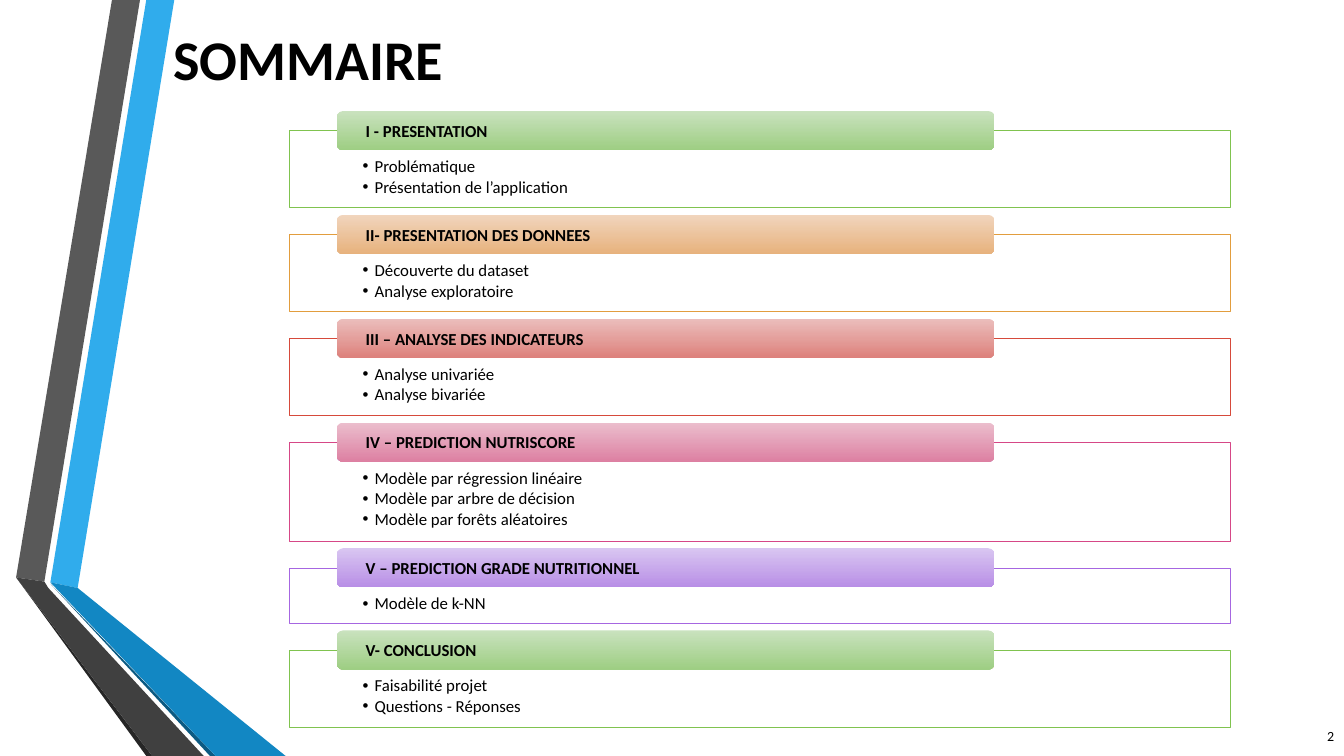
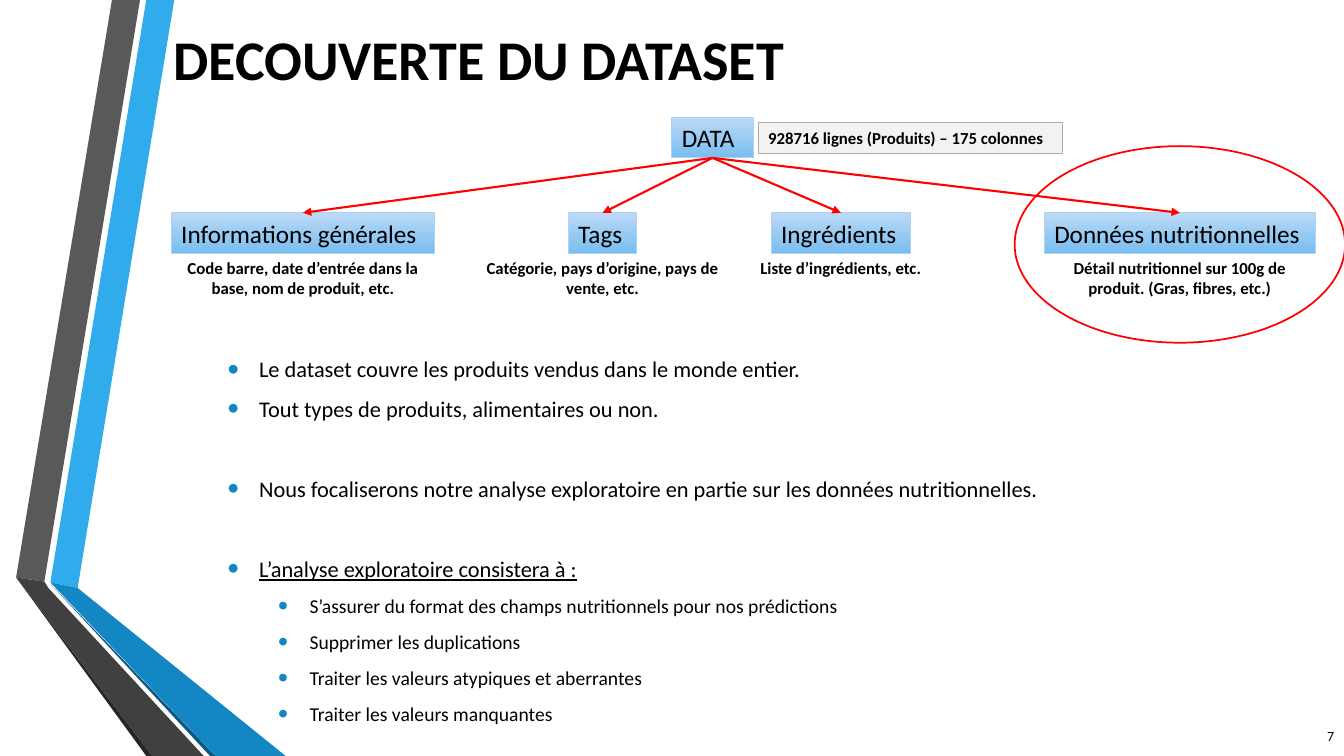
from lxml import etree
from pptx import Presentation
from pptx.dml.color import RGBColor
from pptx.enum import shapes, text
from pptx.oxml.ns import qn
from pptx.util import Pt

FONT = "Calibri"
COLORS = {
    "black": "000000", "white": "FFFFFF", "red": "FF0000",
    "sky": "30ACEC", "blue": "1287C3", "navy": "0C5A82",
    "gray": "595959", "charcoal": "404040", "ink": "262626",
    "label": "F2F2F2", "label_line": "ABABAB",
    "box_top": "BCDAF6", "box_bottom": "78BDEF", "box_line": "AED2F4",
    "green": "80C34F", "green_top": "C9E2BE", "green_bottom": "9ECE83",
    "orange": "E29D3E", "orange_top": "F1D5BD", "orange_bottom": "E7B27D",
    "brick": "D64A3B", "brick_top": "EBBEBC", "brick_bottom": "DD817C",
    "pink": "D64787", "pink_top": "EBBECD", "pink_bottom": "DD80A2",
    "violet": "A666E1", "violet_top": "D9C6F1", "violet_bottom": "B88EE6",
}
RGB = {name: RGBColor.from_string(value) for name, value in COLORS.items()}


def write(paragraph, words, size, bold=False, bullet=None):
    """Add a black run; bullet is (left margin, hanging, colour, size in %)."""
    run = paragraph.add_run()
    run.text = words
    run.font.name = FONT
    run.font.size = Pt(size)
    run.font.bold = bold
    run.font.color.rgb = RGB["black"]
    if bullet:
        margin, hanging, color, percent = bullet
        properties = paragraph._p.get_or_add_pPr()
        properties.set("marL", str(Pt(margin)))
        properties.set("indent", str(-Pt(hanging)))
        bullet_color = etree.SubElement(properties, qn("a:buClr"))
        etree.SubElement(bullet_color, qn("a:srgbClr"), val=COLORS[color])
        etree.SubElement(properties, qn("a:buSzPct"), val=str(percent * 1000))
        etree.SubElement(properties, qn("a:buFont"), typeface="Arial")
        etree.SubElement(properties, qn("a:buChar"), char="•")
    return run


def add_box(slide, kind, left, top, width, height, fill=None, line=None, weight=0.75):
    """Add a left-aligned shape; a pair of fill colours makes a vertical gradient."""
    shape = slide.shapes.add_shape(kind, Pt(left), Pt(top), Pt(width), Pt(height))
    shape.shadow.inherit = False
    if isinstance(fill, tuple):
        shape.fill.gradient()
        shape.fill.gradient_angle = 270
        for stop, color in zip(shape.fill.gradient_stops, fill):
            stop.color.rgb = RGB[color]
    elif fill:
        shape.fill.solid()
        shape.fill.fore_color.rgb = RGB[fill]
    else:
        shape.fill.background()
    if line:
        shape.line.color.rgb = RGB[line]
        shape.line.width = Pt(weight)
    else:
        shape.line.fill.background()
    shape.text_frame.word_wrap = True
    shape.text_frame.paragraphs[0].alignment = text.PP_ALIGN.LEFT
    return shape


presentation = Presentation()
presentation.slide_width = Pt(960)
presentation.slide_height = Pt(540)
title_only = presentation.slide_layouts[5]

# Titles and page numbers
slides = []
for heading, number in (("SOMMAIRE", "2"), ("DECOUVERTE DU DATASET", "7")):
    slide = presentation.slides.add_slide(title_only)
    slides.append(slide)
    title = slide.shapes.title
    title.left, title.top, title.width, title.height = Pt(116.6), Pt(0), Pt(789), Pt(83.5)
    title.text_frame.vertical_anchor = text.MSO_ANCHOR.MIDDLE
    paragraph = title.text_frame.paragraphs[0]
    paragraph.alignment = text.PP_ALIGN.LEFT
    write(paragraph, heading, 40, bold=True)
    page = slide.shapes.add_textbox(Pt(916.6), Pt(511), Pt(43.4), Pt(29))
    page.text_frame.word_wrap = True
    page.text_frame.vertical_anchor = text.MSO_ANCHOR.MIDDLE
    paragraph = page.text_frame.paragraphs[0]
    paragraph.alignment = text.PP_ALIGN.RIGHT
    write(paragraph, number, 10)
summary, dataset = slides

# Folded ribbons, drawn once and moved to the back of the shared layout
RIBBONS = (
    ("sky", [(36, 416), (55.5, 420), (124.5, 0), (104.5, 0)]),
    ("gray", [(100, 0), (80, 0), (11.5, 412.5), (31.7, 415.5)]),
    ("ink", [(11.5, 412.5), (104.5, 540), (108.7, 540)]),
    ("navy", [(36, 417), (150, 540), (154, 540)]),
    ("blue", [(36, 416), (154, 540), (204, 540), (55.5, 420)]),
    ("charcoal", [(145.5, 540), (34.5, 420), (31.7, 415.5), (11.5, 412.5), (108.7, 540)]),
)
for index, (color, corners) in enumerate(RIBBONS):
    points = [(Pt(x), Pt(y)) for x, y in corners]
    builder = summary.shapes.build_freeform(*points[0])
    builder.add_line_segments(points[1:], close=True)
    ribbon = builder.convert_to_shape()
    ribbon.shadow.inherit = False
    ribbon.fill.solid()
    ribbon.fill.fore_color.rgb = RGB[color]
    ribbon.line.fill.background()
    ribbon.element.nvSpPr.cNvPr.set("id", str(20 + index))
    title_only.shapes.element.insert(2 + index, ribbon.element)

# Summary: one panel and one header per section
SECTIONS = (
    ("green", "I - PRESENTATION", ["Problématique", "Présentation de l’application"]),
    ("orange", "II- PRESENTATION DES DONNEES", ["Découverte du dataset", "Analyse exploratoire"]),
    ("brick", "III – ANALYSE DES INDICATEURS", ["Analyse univariée", "Analyse bivariée"]),
    ("pink", "IV – PREDICTION NUTRISCORE",
     ["Modèle par régression linéaire", "Modèle par arbre de décision",
      "Modèle par forêts aléatoires"]),
    ("violet", "V – PREDICTION GRADE NUTRITIONNEL", ["Modèle de k-NN"]),
    ("green", "V- CONCLUSION", ["Faisabilité projet", "Questions - Réponses"]),
)
PANEL_GAP = 19.2
top = 93.5
for color, heading, items in SECTIONS:
    height = 24 + 15.5 * len(items)
    panel = add_box(summary, shapes.MSO_SHAPE.RECTANGLE, 207, top, 672, height, "white", color)
    frame = panel.text_frame
    frame.vertical_anchor = text.MSO_ANCHOR.TOP
    frame.margin_left = frame.margin_right = Pt(52)
    frame.margin_top, frame.margin_bottom = Pt(19.4), Pt(6.5)
    for index, item in enumerate(items):
        paragraph = frame.add_paragraph() if index else frame.paragraphs[0]
        paragraph.alignment = text.PP_ALIGN.LEFT
        paragraph.line_spacing = 0.9
        paragraph.space_after = Pt(1.8)
        write(paragraph, item, 12, bullet=(8.6, 8.6, "black", 100))
    header = add_box(summary, shapes.MSO_SHAPE.ROUNDED_RECTANGLE, 240.5, top - 14.2, 470, 28,
                     (color + "_top", color + "_bottom"))
    header.text_frame.margin_left = header.text_frame.margin_right = Pt(19.4)
    write(header.text_frame.paragraphs[0], heading, 12, bold=True)
    top += height + PANEL_GAP

# Dataset: tree of column families
BLUE_BOX = (("box_top", "box_bottom"), "box_line")
FAMILIES = (
    ("Informations générales", 216.4, 188,
     "Code barre, date d’entrée dans la base, nom de produit, etc."),
    ("Tags", 430.4, 49, "Catégorie, pays d’origine, pays de vente, etc."),
    ("Ingrédients", 600.6, 99.4, "Liste d’ingrédients, etc."),
    ("Données nutritionnelles", 842.8, 193.6,
     "Détail nutritionnel sur 100g de produit. (Gras, fibres, etc.)"),
)
CAPTION_WIDTH = 188
root = add_box(dataset, shapes.MSO_SHAPE.RECTANGLE, 480, 83.8, 58, 29, *BLUE_BOX)
write(root.text_frame.paragraphs[0], "DATA", 18)
for name, center, width, details in FAMILIES:
    family = add_box(dataset, shapes.MSO_SHAPE.RECTANGLE, center - width / 2, 152, width, 29,
                     *BLUE_BOX)
    write(family.text_frame.paragraphs[0], name, 18)
    caption = dataset.shapes.add_textbox(Pt(center - CAPTION_WIDTH / 2), Pt(180.5),
                                         Pt(CAPTION_WIDTH), Pt(36))
    caption.text_frame.word_wrap = True
    paragraph = caption.text_frame.paragraphs[0]
    paragraph.alignment = text.PP_ALIGN.CENTER
    write(paragraph, details, 12, bold=True)
    arrow = dataset.shapes.add_connector(shapes.MSO_CONNECTOR.STRAIGHT, 0, 0, 0, 0)
    arrow.begin_connect(root, 2)
    arrow.end_connect(family, 0)
    arrow.line.color.rgb = RGB["red"]
    arrow.line.width = Pt(1.5)
    properties = arrow.element.spPr
    etree.SubElement(properties.find(qn("a:ln")), qn("a:tailEnd"), type="triangle")
    etree.SubElement(properties, qn("a:effectLst"))

# The last family is circled
add_box(dataset, shapes.MSO_SHAPE.OVAL, center - 118, 104.4, 236, 140.4, line="red", weight=1.25)
size_label = add_box(dataset, shapes.MSO_SHAPE.RECTANGLE, 541.5, 87.6, 217.5, 22,
                     "label", "label_line")
write(size_label.text_frame.paragraphs[0], "928716 lignes (Produits) – 175 colonnes", 12, bold=True)

# Dataset: remarks as (words, level, extra space before, underlined)
REMARKS = (
    ("Le dataset couvre les produits vendus dans le monde entier.", 0, 0, False),
    ("Tout types de produits, alimentaires ou non.", 0, 0, False),
    ("Nous focaliserons notre analyse exploratoire en partie sur les données nutritionnelles.",
     0, 28.6, False),
    ("L’analyse exploratoire consistera à :", 0, 28.6, True),
    ("S’assurer du format des champs nutritionnels pour nos prédictions", 1, 0, False),
    ("Supprimer les duplications", 1, 0, False),
    ("Traiter les valeurs atypiques et aberrantes", 1, 0, False),
    ("Traiter les valeurs manquantes", 1, 0, False),
)
remarks = dataset.shapes.add_textbox(Pt(155.5), Pt(232), Pt(762.5), Pt(308))
frame = remarks.text_frame
frame.word_wrap = True
frame.vertical_anchor = text.MSO_ANCHOR.MIDDLE
for index, (words, level, extra, underlined) in enumerate(REMARKS):
    paragraph = frame.add_paragraph() if index else frame.paragraphs[0]
    paragraph.level = level
    size = 16 - 2 * level
    paragraph.space_before = Pt(0.2 * size + extra)
    paragraph.space_after = Pt(6)
    run = write(paragraph, words, size, bullet=(22.5 + 36 * level, 22.5, "blue", 145))
    run.font.underline = underlined

presentation.save("out.pptx")
